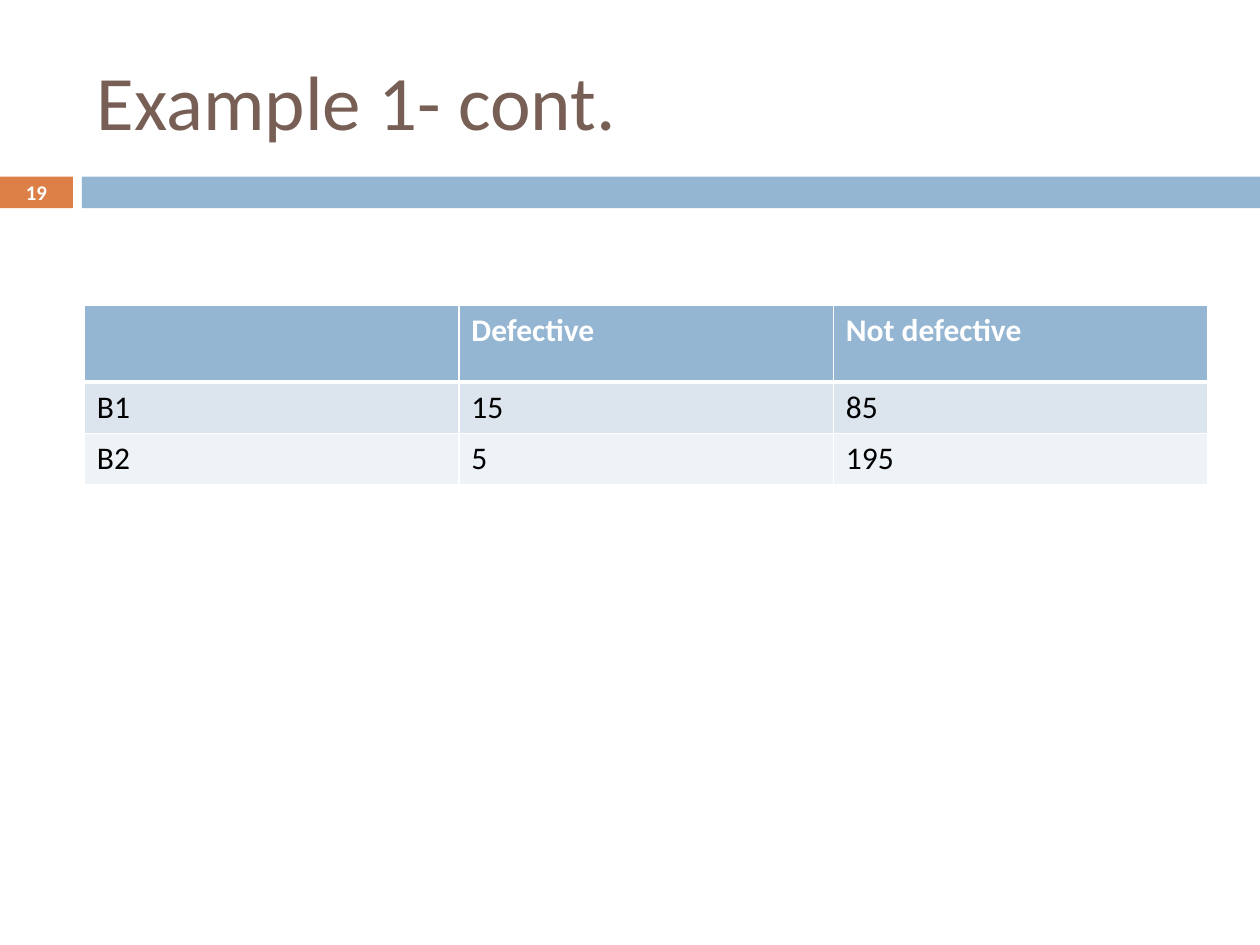
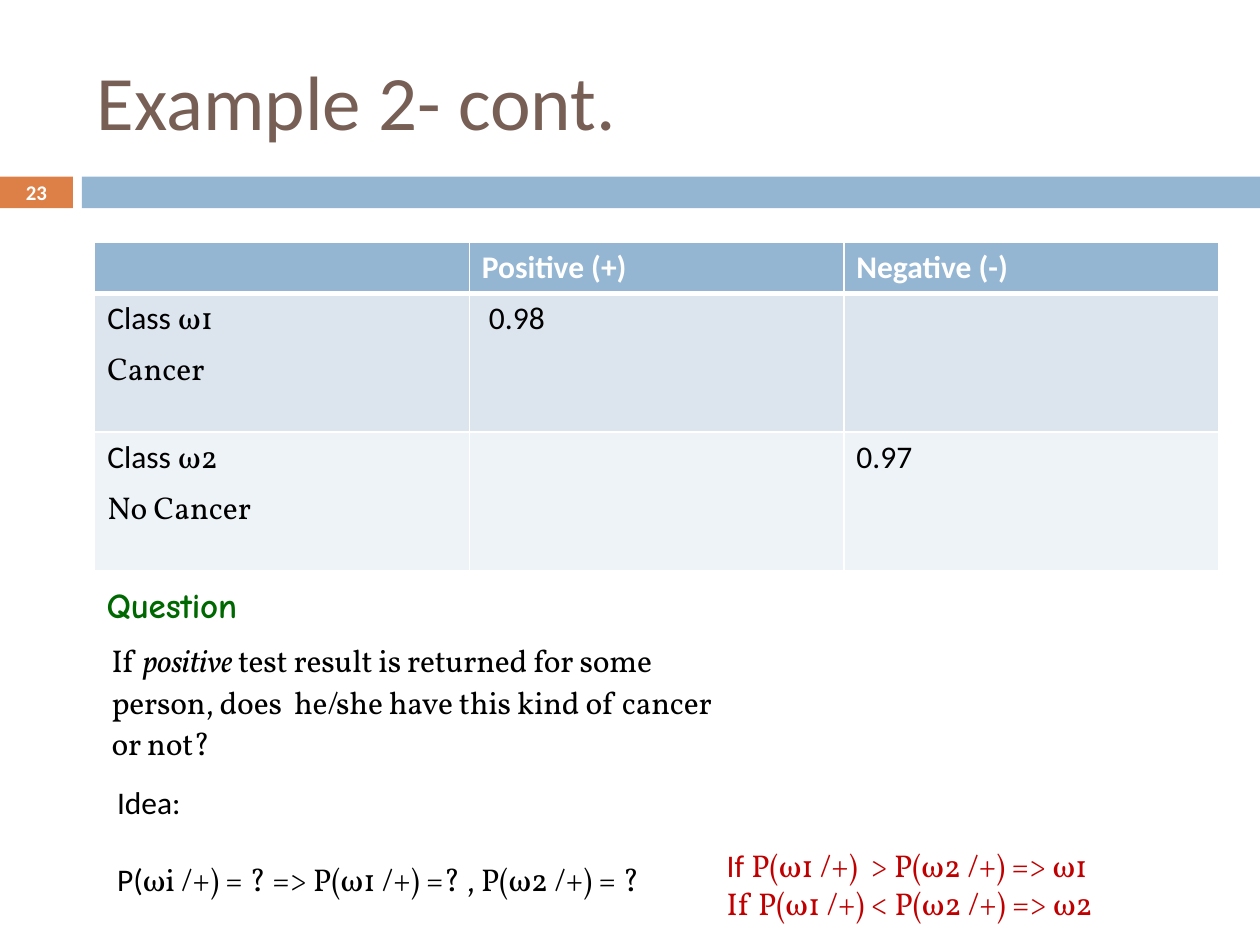
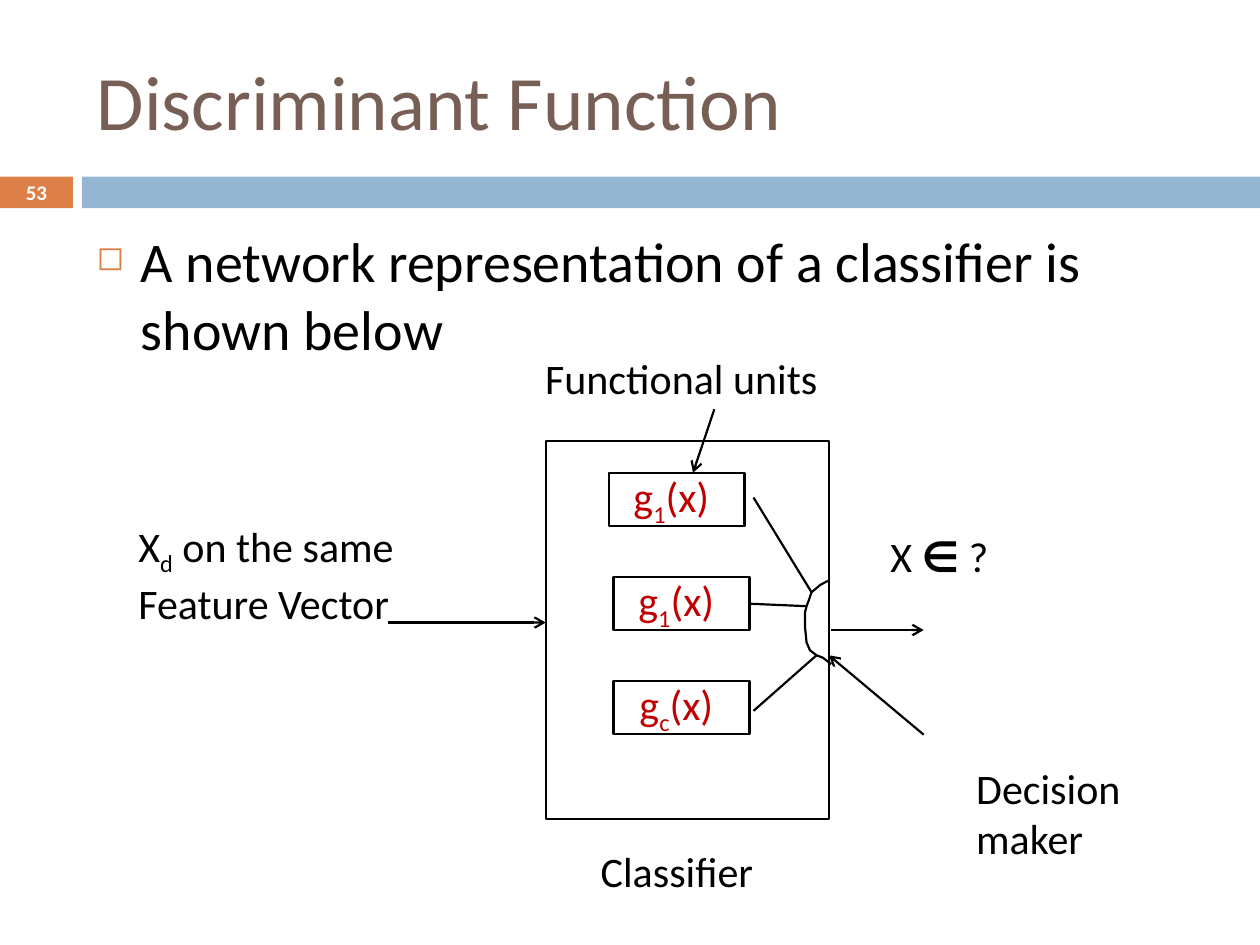
from lxml.etree import SubElement
from pptx import Presentation
from pptx.dml.color import RGBColor
from pptx.enum.shapes import MSO_CONNECTOR, MSO_SHAPE
from pptx.enum.text import MSO_ANCHOR, PP_ALIGN
from pptx.oxml.ns import qn
from pptx.util import Cm, Pt

rgb = RGBColor.from_string
ORANGE, BLUE, BROWN = "DD8047", "94B6D2", "775F55"
BLACK, WHITE, RED, GREEN = "000000", "FFFFFF", "C00000", "006800"
ROW_TINTS = ["DCE5EE", "EEF3F7"]
SERIF = {"name": "Vollkorn"}
SUB = {"baseline": "-25000"}


def write(frame, paragraphs, **base):
    """Fill a text frame; each paragraph is a list of strings or (string, format) pairs."""
    frame.word_wrap = True
    for index, pieces in enumerate(paragraphs):
        paragraph = frame.paragraphs[0] if index == 0 else frame.add_paragraph()
        for piece in pieces:
            text, extra = (piece, {}) if isinstance(piece, str) else piece
            run = paragraph.add_run()
            run.text = text
            for key, value in {"name": "Calibri", "color": BLACK, **base, **extra}.items():
                if key == "color":
                    run.font.color.rgb = rgb(value)
                elif key == "size":
                    run.font.size = Pt(value)
                elif key in ("baseline", "spc"):
                    run._r.get_or_add_rPr().set(key, value)
                else:
                    setattr(run.font, key, value)
    return frame


def add_box(slide, place, fill, line=None):
    box = slide.shapes.add_shape(MSO_SHAPE.RECTANGLE, *map(Cm, place))
    box.shadow.inherit = False
    box.fill.solid()
    box.fill.fore_color.rgb = rgb(fill)
    if line:
        box.line.color.rgb = rgb(line)
        box.line.width = Pt(1.25)
    else:
        box.line.fill.background()
    return box.text_frame


deck = Presentation()
deck.slide_width, deck.slide_height = Cm(25.4), Cm(19.05)

# Title, band and slide number on every slide
slides = []
for title, number in [("Example 1- cont.", "19"), ("Example 2- cont.", "23"),
                      ("Discriminant Function", "53")]:
    slide = deck.slides.add_slide(deck.slide_layouts[6])
    slides.append(slide)
    add_box(slide, (1.65, 3.56, 23.75, 0.64), BLUE)
    badge = add_box(slide, (0, 3.56, 1.47, 0.64), ORANGE)
    write(badge, [[number]], size=11.9, color=WHITE, bold=True)
    badge.vertical_anchor = MSO_ANCHOR.MIDDLE
    badge.paragraphs[0].alignment = PP_ALIGN.CENTER
    heading = slide.shapes.add_textbox(Cm(1.7), Cm(0.64), Cm(22.66), Cm(2.74)).text_frame
    write(heading, [[title]], size=44, color=BROWN)
    heading.vertical_anchor = MSO_ANCHOR.MIDDLE
defects_slide, cancer_slide, network_slide = slides

# Tables: each cell is a list of paragraphs
defects = [
    [[], [["Defective"]], [["Not defective"]]],
    [[["B1"]], [["15"]], [["85"]]],
    [[["B2"]], [["5"]], [["195"]]],
]
tests = [
    [[], [["Positive (+)"]], [["Negative (-)"]]],
    [[["Class ", ("ω1", SERIF)], [("Cancer", SERIF)]], [[" 0.98"]], []],
    [[["Class ", ("ω2", SERIF)], [("No Cancer", SERIF)]], [], [["0.97"]]],
]
for slide, left, top, heights, rows in [
    (defects_slide, 1.7, 6.15, (1.55, 1.04, 1.04), defects),
    (cancer_slide, 1.91, 4.88, (1.04, 2.79, 2.79), tests),
]:
    table = slide.shapes.add_table(3, 3, Cm(left), Cm(top), Cm(22.65), Cm(sum(heights))).table
    for column in table.columns:
        column.width = Cm(7.55)
    for r, cells in enumerate(rows):
        table.rows[r].height = Cm(heights[r])
        is_header = r == 0
        for c, paragraphs in enumerate(cells):
            cell = table.cell(r, c)
            frame = write(cell.text_frame, paragraphs, size=18, bold=is_header,
                          color=WHITE if is_header else BLACK)
            for paragraph in frame.paragraphs[1:]:
                paragraph.space_before = Pt(4)
            properties = cell._tc.get_or_add_tcPr()
            for side in ("lnL", "lnR", "lnT", "lnB"):
                thick = (is_header and side == "lnB") or (r == 1 and side == "lnT")
                border = SubElement(properties, qn(f"a:{side}"), w=str(Pt(3 if thick else 1)))
                SubElement(SubElement(border, qn("a:solidFill")), qn("a:srgbClr"), val=WHITE)
            cell.fill.solid()
            cell.fill.fore_color.rgb = rgb(BLUE if is_header else ROW_TINTS[r - 1])

# Question, idea and decision rules below the cancer table
idea = cancer_slide.shapes.add_textbox(Cm(2.11), Cm(15.67), Cm(13.13), Cm(2.57)).text_frame
write(idea, [["Idea:"], ["P(", ("ωi /+) = ? => P(ω1 /+) =? , P(ω2 /+) = ?", SERIF)]], size=18)
idea.paragraphs[1].space_before = Pt(22)

question = cancer_slide.shapes.add_textbox(Cm(1.9), Cm(11.63), Cm(14.81), Cm(3.91)).text_frame
write(question, [
    [("Question", {"name": "Comic Neue", "size": 20, "color": GREEN, "bold": True})],
    ["If ", ("positive ", {"italic": True}),
     "test result is returned for some person, does  he/she have this kind of cancer or not?"],
], size=18, name="Vollkorn", spc="-10")
question.margin_right = Cm(2)
question.paragraphs[1].space_before = Pt(7)
question.paragraphs[1].line_spacing = 1.1
question.paragraphs[1]._p.get_or_add_pPr().set("marL", str(Cm(0.1)))

rules = cancer_slide.shapes.add_textbox(Cm(14.4), Cm(16.94), Cm(9.09), Cm(1.8)).text_frame
write(rules, [["If ", ("P(ω1 /+)  > P(ω2 /+) => ω1", SERIF)],
              [("If P(ω1 /+) < P(ω2 /+) => ω2", SERIF)]], size=18, color=RED)

# Classifier network
intro = network_slide.shapes.add_textbox(Cm(1.7), Cm(4.45), Cm(22.66), Cm(12.5)).text_frame
write(intro, [["A network representation of a classifier is shown below"]], size=32)
intro.paragraphs[0].space_before = Pt(7)
bullet = intro.paragraphs[0]._p.get_or_add_pPr()
bullet.set("marL", str(Cm(0.89)))
bullet.set("indent", str(Cm(-0.89)))
SubElement(SubElement(bullet, qn("a:buClr")), qn("a:srgbClr"), val=ORANGE)
SubElement(bullet, qn("a:buSzPct"), val="60000")
SubElement(bullet, qn("a:buChar"), char="◻")

add_box(network_slide, (11, 8.89, 5.72, 7.62), WHITE, BLACK)
for i, (left, subscript) in enumerate([(12.27, "1"), (12.37, "1"), (12.37, "c")]):
    unit = add_box(network_slide, (left, 9.53 + 2.1 * i, 2.74, 1.07), WHITE, BLACK)
    write(unit, [["g", (subscript, SUB), "(x)"]], size=24, color=RED)
    unit.margin_right = Cm(0.46)
    unit.vertical_anchor = MSO_ANCHOR.MIDDLE
    unit.paragraphs[0].alignment = PP_ALIGN.CENTER

decision_arc = [
    (16.69, 11.71), (16.54, 11.79), (16.36, 11.94), (16.31, 12.09), (16.26, 12.22),
    (16.23, 12.34), (16.23, 12.65), (16.26, 12.95), (16.33, 13.11), (16.46, 13.21),
    (16.59, 13.26), (16.76, 13.39),
]
start, *rest = [(Cm(x), Cm(y)) for x, y in decision_arc]
outline = network_slide.shapes.build_freeform(*start)
outline.add_line_segments(rest, close=False)
decision_maker = outline.convert_to_shape()
decision_maker.shadow.inherit = False
decision_maker.fill.background()
decision_maker.line.color.rgb = rgb(BLACK)
decision_maker.line.width = Pt(1.25)

for ends, has_arrow in [
    ((15.19, 10.03, 16.36, 11.94), False),
    ((15.11, 12.17, 16.26, 12.22), False),
    ((15.19, 14.33, 16.46, 13.21), False),
    ((16.76, 12.7, 18.62, 12.7), True),
    ((7.82, 12.55, 11, 12.55), True),
    ((18.62, 14.81, 16.71, 13.21), True),
    ((14.4, 8.25, 13.97, 9.53), True),
]:
    link = network_slide.shapes.add_connector(MSO_CONNECTOR.STRAIGHT, *map(Cm, ends))
    link.line.color.rgb = rgb(BLACK)
    link.line.width = Pt(1.25)
    if has_arrow:
        SubElement(link.line._get_or_add_ln(), qn("a:tailEnd"), type="arrow")
    SubElement(link._element.spPr, qn("a:effectLst"))

for place, label in [
    ((17.7, 10.57, 3.48, 1.27), ["X ", ("∈ ", {"bold": True}), "?"]),
    ((2.54, 10.36, 6.88, 2.31), ["X", ("d", SUB), " on the same Feature Vector"]),
    ((19.43, 15.24, 3.43, 2.31), ["Decision maker"]),
    ((11.86, 16.92, 4.22, 1.27), ["Classifier"]),
    ((10.74, 6.98, 6.4, 1.27), ["Functional units"]),
]:
    write(network_slide.shapes.add_textbox(*map(Cm, place)).text_frame, [label], size=24)

deck.save("out.pptx")
